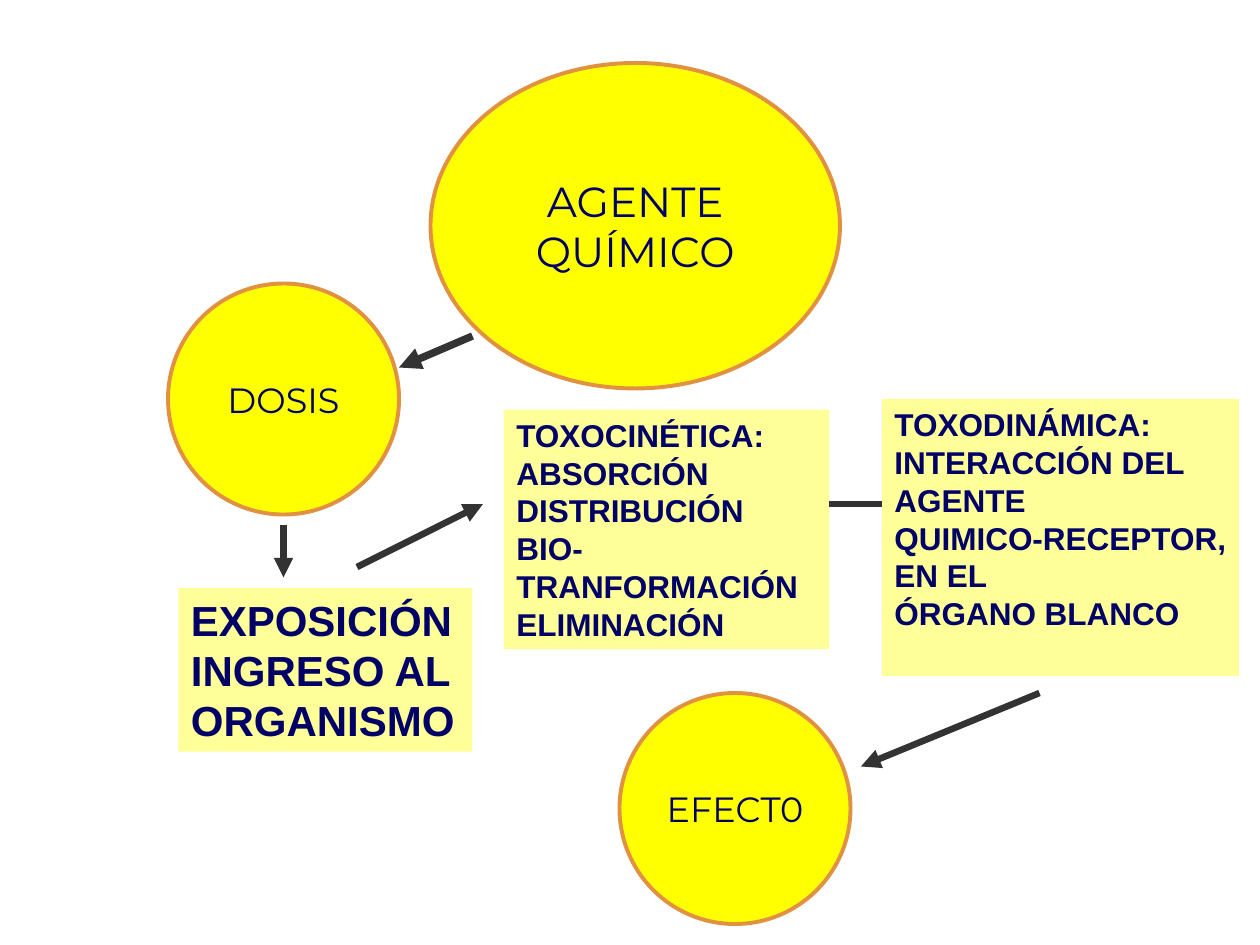
from lxml import etree
from pptx import Presentation
from pptx import util as u
from pptx.dml.color import RGBColor
from pptx.enum import shapes, text
from pptx.oxml.ns import qn


def color(hex_value):
    return RGBColor.from_string(hex_value)


class Diagram:
    INK, ARROW = "000066", "333333"
    CIRCLE, RIM, NOTE = "FFFF00", "E09142", "FFFF99"

    def __init__(self, slide):
        self.slide = slide

    def label(self, frame, lines, size, font, bold, align):
        frame.auto_size = text.MSO_AUTO_SIZE.NONE
        for i, line in enumerate(lines):
            paragraph = frame.paragraphs[0] if i == 0 else frame.add_paragraph()
            paragraph.alignment = align
            run = paragraph.add_run()
            run.text = line
            run.font.name, run.font.size, run.font.bold = font, u.Pt(size), bold
            run.font.color.rgb = color(self.INK)

    def circle(self, box, lines, size):
        oval = self.slide.shapes.add_shape(shapes.MSO_SHAPE.OVAL, *map(u.Pt, box))
        oval.shadow.inherit = False
        oval.fill.solid()
        oval.fill.fore_color.rgb = color(self.CIRCLE)
        oval.line.color.rgb = color(self.RIM)
        oval.line.width = u.Pt(2.25)
        oval.text_frame.word_wrap = False
        oval.text_frame.vertical_anchor = text.MSO_ANCHOR.MIDDLE
        self.label(oval.text_frame, lines, size, "Montserrat", False, text.PP_ALIGN.CENTER)

    def note(self, box, lines, size):
        panel = self.slide.shapes.add_textbox(*map(u.Pt, box))
        panel.fill.solid()
        panel.fill.fore_color.rgb = color(self.NOTE)
        panel.text_frame.word_wrap = True
        self.label(panel.text_frame, lines, size, "Arial", True, text.PP_ALIGN.LEFT)

    def link(self, start, end, width=3.75, arrow=True):
        connector = self.slide.shapes.add_connector(
            shapes.MSO_CONNECTOR.STRAIGHT, *map(u.Pt, start + end))
        connector.line.color.rgb = color(self.ARROW)
        connector.line.width = u.Pt(width)
        properties = connector._element.spPr
        if arrow:
            etree.SubElement(properties.find(qn("a:ln")), qn("a:tailEnd"), type="triangle")
        etree.SubElement(properties, qn("a:effectLst"))


def main():
    deck = Presentation()
    deck.slide_width, deck.slide_height = u.Pt(720), u.Pt(540)
    diagram = Diagram(deck.slides.add_slide(deck.slide_layouts[6]))

    # Agent, dose and effect
    diagram.circle((96, 162, 132, 132), ["DOSIS"], 20)
    diagram.circle((246, 36, 234, 186), ["AGENTE", "QUÍMICO"], 24)
    diagram.circle((354, 396, 132, 132), ["EFECT0"], 20)

    # Stages between dose and effect
    diagram.note((504, 228, 204, 158.4),
                 ["TOXODINÁMICA:", "INTERACCIÓN DEL", "AGENTE",
                  "QUIMICO-RECEPTOR,", "EN EL", "ÓRGANO BLANCO"], 18)
    diagram.note((288, 234, 186, 137),
                 ["TOXOCINÉTICA:", "ABSORCIÓN", "DISTRIBUCIÓN", "BIO-",
                  "TRANFORMACIÓN", "ELIMINACIÓN"], 18)
    diagram.note((102, 336, 168, 93.6),
                 ["EXPOSICIÓN", "INGRESO AL", "ORGANISMO"], 24)

    # Links in order of the process
    diagram.link((270, 192), (228, 210), width=4.25)
    diagram.link((162, 300), (162, 330))
    diagram.link((204, 324), (276, 288))
    diagram.link((474, 288), (504, 288), arrow=False)
    diagram.link((594, 396), (492, 438))

    deck.save("out.pptx")


if __name__ == "__main__":
    main()
